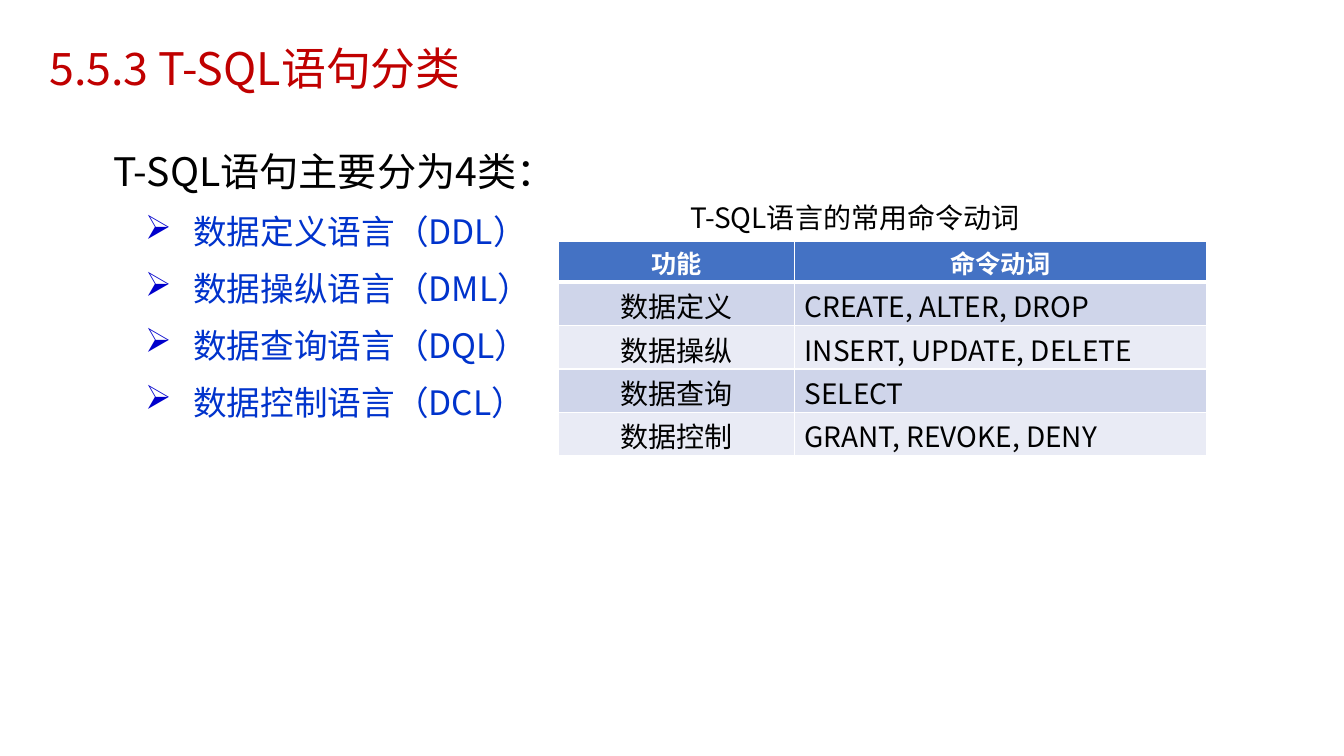
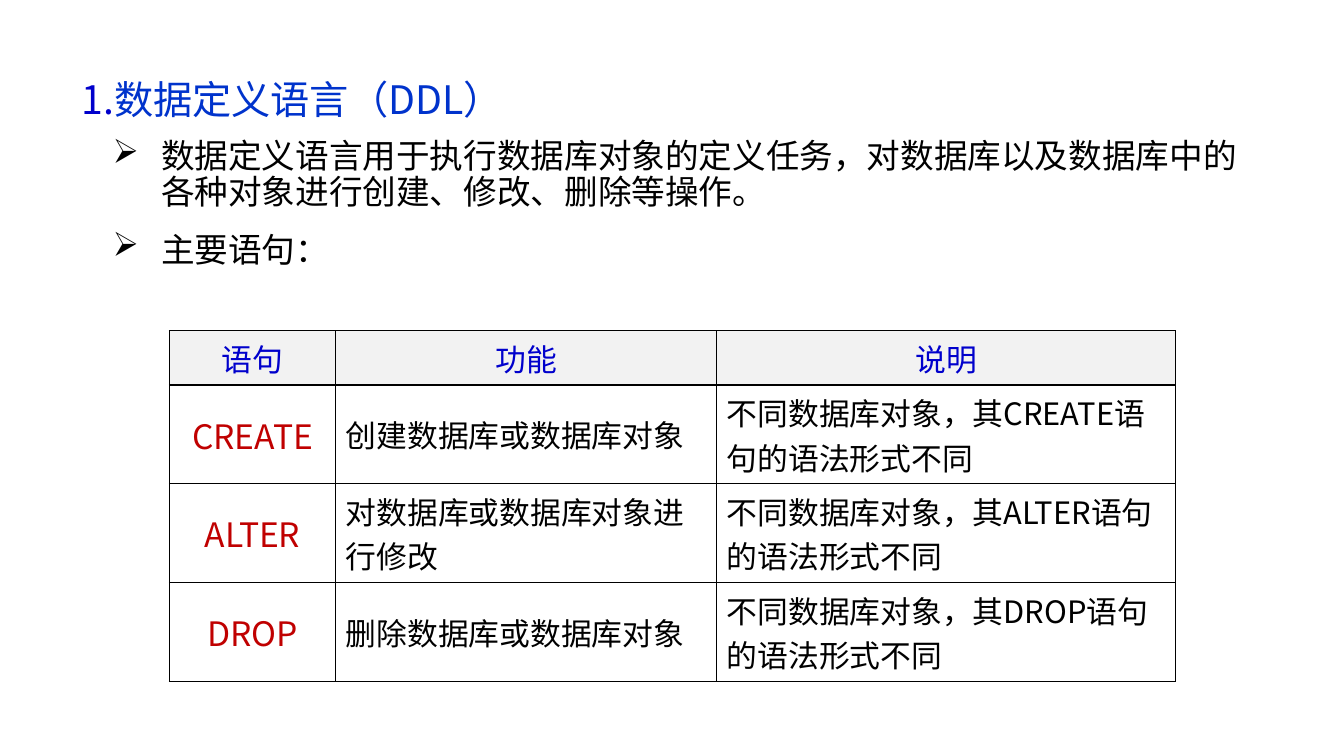
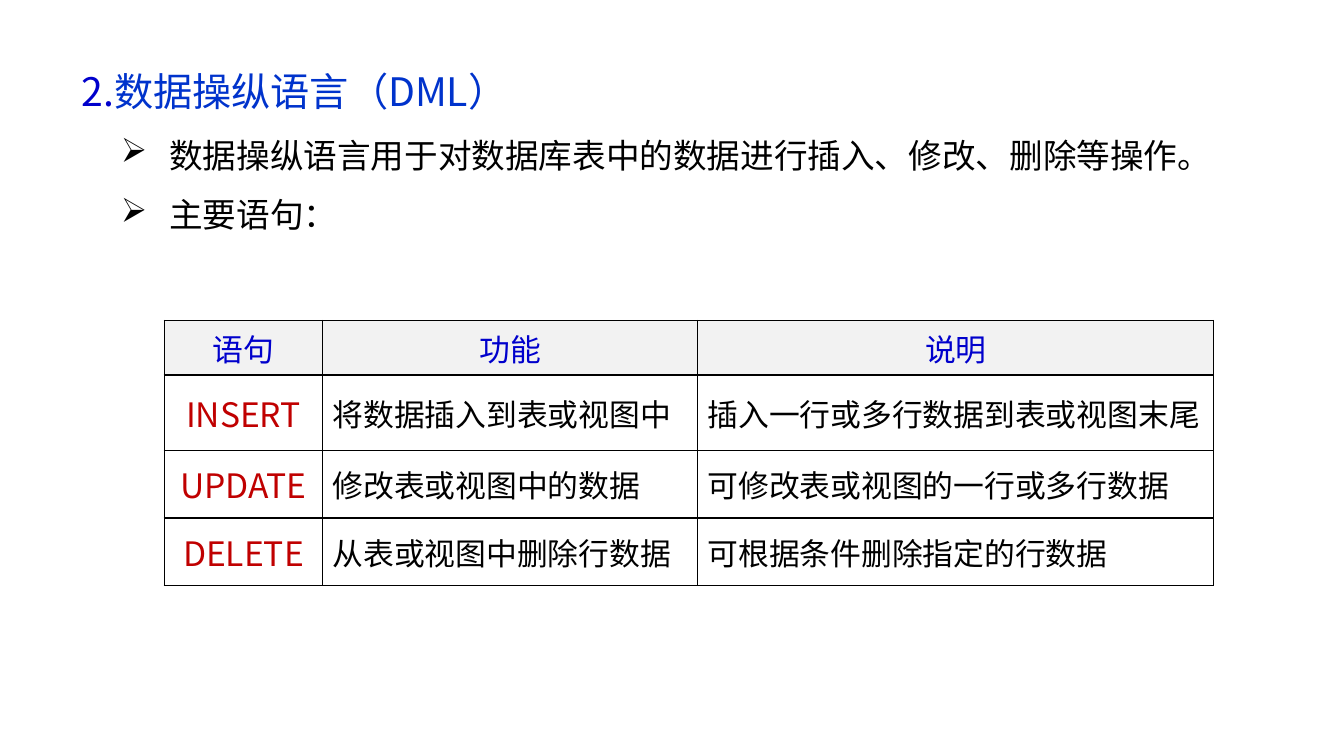
from lxml import etree
from pptx import Presentation
from pptx.dml.color import RGBColor
from pptx.enum.text import MSO_ANCHOR, PP_ALIGN
from pptx.oxml.ns import qn
from pptx.util import Pt

PX = 9144  # EMU, 100 px to the inch
FONT = "Noto Sans CJK SC"
BLACK = RGBColor(0x00, 0x00, 0x00)
WHITE = RGBColor(0xFF, 0xFF, 0xFF)
RED = RGBColor(0xC0, 0x00, 0x00)
NAVY = RGBColor(0x00, 0x00, 0xCC)
BLUE = RGBColor(0x00, 0x33, 0xCC)
HEADER_BLUE = RGBColor(0x44, 0x72, 0xC4)
BAND_DARK = RGBColor(0xCF, 0xD5, 0xEA)
BAND_LIGHT = RGBColor(0xE9, 0xEB, 0xF5)
HEADER_GREY = RGBColor(0xF2, 0xF2, 0xF2)
LEFT, CENTER = PP_ALIGN.LEFT, PP_ALIGN.CENTER
TOP, MIDDLE = MSO_ANCHOR.TOP, MSO_ANCHOR.MIDDLE

HEADING_SIZE, BODY_SIZE, STATEMENT_SIZE = 28, 24, 22
HANG = 48
BORDER_SIDES = ("lnL", "lnR", "lnT", "lnB")
STATEMENT_HEADER = ("语句", "功能", "说明")


def px(length):
    return length * PX


def add_solid_colour(parent, color):
    fill = etree.SubElement(parent, qn("a:solidFill"))
    etree.SubElement(fill, qn("a:srgbClr"), val=str(color))


def style_run(run, size, color, bold=False):
    font = run.font
    font.size, font.bold, font.name = Pt(size), bold, FONT
    font.color.rgb = color
    east_asian = etree.SubElement(run._r.get_or_add_rPr(), qn("a:ea"))
    east_asian.set("typeface", FONT)


def add_frame(slide, left, top, width, height, anchor=TOP):
    frame = slide.shapes.add_textbox(
        px(left), px(top), px(width), px(height)).text_frame
    frame.word_wrap = True
    frame.vertical_anchor = anchor
    return frame


def add_line(slide, text, box, size, color, anchor=TOP, spacing=1.0):
    """Place one styled paragraph in its own text box."""
    frame = add_frame(slide, *box, anchor)
    frame.text = text
    paragraph = frame.paragraphs[0]
    paragraph.line_spacing = spacing
    style_run(paragraph.runs[0], size, color)


def add_bullet(paragraph, indent, color):
    properties = paragraph._p.get_or_add_pPr()
    properties.set("marL", str(px(indent)))
    properties.set("indent", str(-px(HANG)))
    bullet_color = etree.SubElement(properties, qn("a:buClr"))
    etree.SubElement(bullet_color, qn("a:srgbClr"), val=str(color))
    etree.SubElement(properties, qn("a:buChar"), char="➢")


def add_outline(slide, box, heading, points, heading_spacing, indent=79,
                color=BLACK, bullet_color=BLACK):
    """heading: (text, colour) parts; points: (text, line spacing, space before)."""
    frame = add_frame(slide, *box)
    first = frame.paragraphs[0]
    first.line_spacing = heading_spacing
    for text, part_color in heading:
        run = first.add_run()
        run.text = text
        style_run(run, HEADING_SIZE, part_color)
    for text, spacing, before in points:
        paragraph = frame.add_paragraph()
        paragraph.text = text
        paragraph.line_spacing = spacing
        paragraph.space_before = Pt(before)
        style_run(paragraph.runs[0], BODY_SIZE, color)
        add_bullet(paragraph, indent, bullet_color)


def set_borders(cell, color, bottom=1, top=1):
    properties = cell._tc.get_or_add_tcPr()
    widths = {"lnB": bottom, "lnT": top}
    for side in BORDER_SIDES:
        width = Pt(widths.get(side, 1))
        line = etree.SubElement(properties, qn("a:" + side), w=str(width))
        add_solid_colour(line, color)


def fill_cell(cell, text, size, color, align, fill=None, bold=False):
    cell.text = text
    paragraph = cell.text_frame.paragraphs[0]
    paragraph.alignment = align
    style_run(paragraph.runs[0], size, color, bold)
    if fill is None:
        cell.fill.background()
    else:
        cell.fill.solid()
        cell.fill.fore_color.rgb = fill


def add_grid(slide, left, top, widths, heights):
    table = slide.shapes.add_table(
        len(heights), len(widths), px(left), px(top),
        px(sum(widths)), px(sum(heights))).table
    table.first_row = table.horz_banding = False
    for column, width in zip(table.columns, widths):
        column.width = px(width)
    for row, height in zip(table.rows, heights):
        row.height = px(height)
    return table


def add_verb_table(slide, left, top, widths, heights, rows):
    """Banded table with a blue header and white rules."""
    table = add_grid(slide, left, top, widths, heights)
    for r, row in enumerate(rows):
        for c, text in enumerate(row):
            cell = table.cell(r, c)
            cell.margin_top, cell.margin_bottom = px(3), 0
            set_borders(cell, WHITE, bottom=3 if r == 0 else 1,
                        top=3 if r == 1 else 1)
            if r == 0:
                fill_cell(cell, text, 18, WHITE, CENTER, HEADER_BLUE, True)
            else:
                fill_cell(cell, text, 20, BLACK, LEFT if c else CENTER,
                          BAND_DARK if r % 2 else BAND_LIGHT)


def add_statement_table(slide, left, top, widths, heights, rows):
    """Black-ruled table with red statement names in the first column."""
    table = add_grid(slide, left, top, widths, heights)
    for r, row in enumerate([STATEMENT_HEADER, *rows]):
        for c, text in enumerate(row):
            cell = table.cell(r, c)
            cell.vertical_anchor = MIDDLE
            set_borders(cell, BLACK)
            if r == 0:
                fill_cell(cell, text, STATEMENT_SIZE, NAVY, CENTER, HEADER_GREY)
            elif c == 0:
                fill_cell(cell, text, BODY_SIZE, RED, CENTER)
            else:
                fill_cell(cell, text, STATEMENT_SIZE, BLACK, LEFT)


def build_overview(slide):
    languages = ("数据定义语言（DDL）", "数据操纵语言（DML）",
                 "数据查询语言（DQL）", "数据控制语言（DCL）")
    add_outline(slide, (103, 130, 1150, 491),
                [("T-SQL语句主要分为4类：", BLACK)],
                [(language, 1.24, 5) for language in languages],
                1.24, color=BLUE, bullet_color=NAVY)
    add_line(slide, "5.5.3 T-SQL语句分类", (39, 39, 1150, 62), 32, RED,
             MIDDLE, 0.9)
    add_line(slide, "T-SQL语言的常用命令动词", (675, 194, 420, 44), 20, BLACK)
    add_verb_table(slide, 554, 239, (234, 409), (41, 43, 43, 43, 43), [
        ("功能", "命令动词"),
        ("数据定义", "CREATE, ALTER, DROP"),
        ("数据操纵", "INSERT, UPDATE, DELETE"),
        ("数据查询", "SELECT"),
        ("数据控制", "GRANT, REVOKE, DENY"),
    ])


def build_definition(slide):
    add_outline(slide, (71, 59, 1170, 258),
                [("1.", NAVY), ("数据定义语言（DDL）", BLUE)],
                [("数据定义语言用于执行数据库对象的定义任务，对数据库以及"
                  "数据库中的各种对象进行创建、修改、删除等操作。", 0.9, 12),
                 ("主要语句：", 1.24, 5)], 1.24)
    effects = (("CREATE", "创建数据库或数据库对象"),
               ("ALTER", "对数据库或数据库对象进行修改"),
               ("DROP", "删除数据库或数据库对象"))
    add_statement_table(
        slide, 168, 328, (165, 378, 455), (54, 98, 98, 98),
        [(verb, effect, f"不同数据库对象，其{verb}语句的语法形式不同")
         for verb, effect in effects])


def build_manipulation(slide):
    add_outline(slide, (71, 59, 1133, 245),
                [("2.", NAVY), ("数据操纵语言（DML）", BLUE)],
                [("数据操纵语言用于对数据库表中的数据进行插入、修改、"
                  "删除等操作。", 1.07, 12),
                 ("主要语句：", 1.07, 12)], 1.07, indent=87)
    add_statement_table(slide, 163, 318, (157, 372, 512), (54, 75, 67, 67), [
        ("INSERT", "将数据插入到表或视图中", "插入一行或多行数据到表或视图末尾"),
        ("UPDATE", "修改表或视图中的数据", "可修改表或视图的一行或多行数据"),
        ("DELETE", "从表或视图中删除行数据", "可根据条件删除指定的行数据"),
    ])


def main():
    deck = Presentation()
    deck.slide_width, deck.slide_height = px(1333), px(750)
    blank = deck.slide_layouts[6]
    for build in (build_overview, build_definition, build_manipulation):
        build(deck.slides.add_slide(blank))
    deck.save("out.pptx")


if __name__ == "__main__":
    main()
